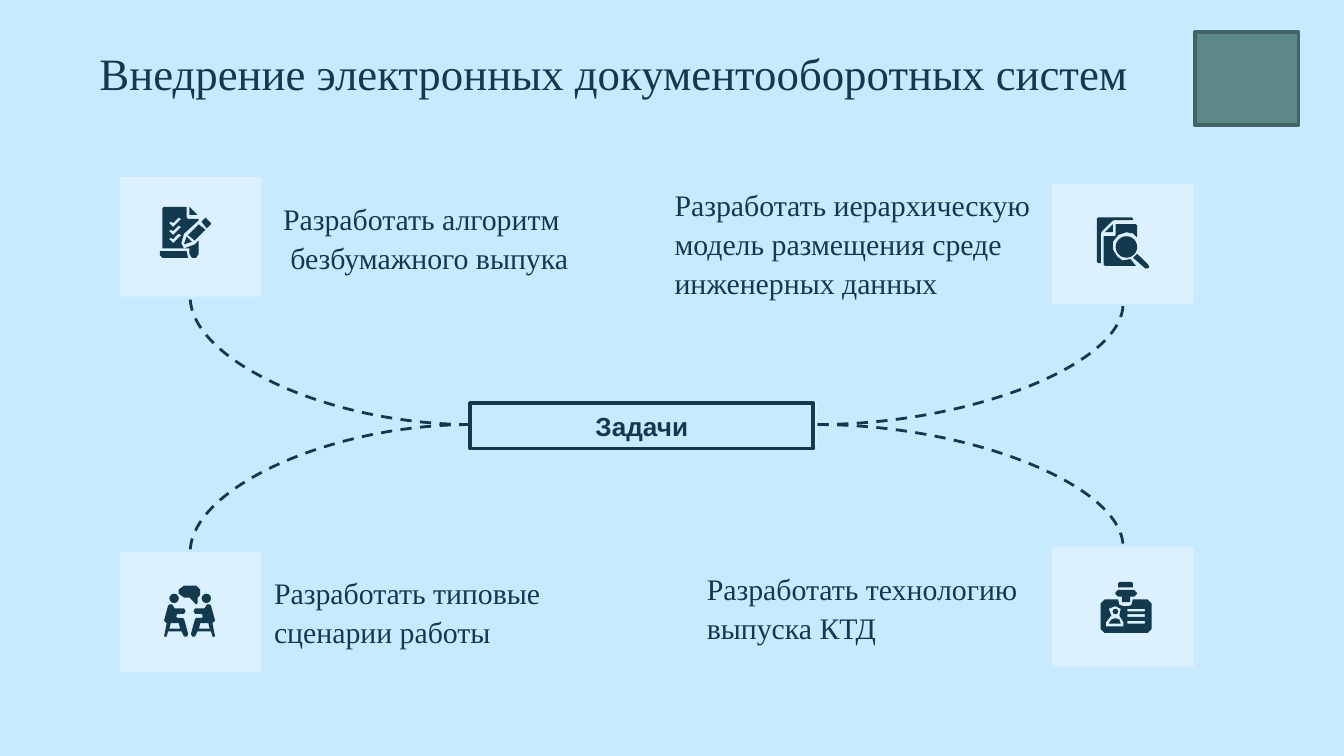
from lxml.etree import SubElement
from pptx import Presentation
from pptx.dml.color import RGBColor
from pptx.enum.dml import MSO_LINE
from pptx.enum.shapes import MSO_CONNECTOR, MSO_SHAPE
from pptx.enum.text import MSO_ANCHOR, PP_ALIGN
from pptx.oxml.ns import qn
from pptx.util import Cm, Pt

SKY = RGBColor(0xC8, 0xEA, 0xFF)
NAVY = RGBColor(0x13, 0x39, 0x4F)
WHITE = RGBColor(0xFF, 0xFF, 0xFF)
TEAL = RGBColor(0x5C, 0x89, 0x88)
DARK_TEAL = RGBColor(0x44, 0x65, 0x65)
SERIF = "Times New Roman"

ICON_UNIT = Cm(0.0254)
CARD_W, CARD_H = 2.67, 2.26
LEFT_X, RIGHT_X = 2.26, 19.89
TOP, BOTTOM, LEFT, RIGHT = 0, 2, 1, 3


def box(x, y, w, h):
    return [(x, y), (x + w, y), (x + w, y + h), (x, y + h)]


def mirror(contours):
    return [[(38 - x, y) for x, y in points] for points in contours]


CHECKS = [[(8, 11 + d), (10, 12 + d), (14, 8 + d), (16, 9 + d), (10, 15 + d), (7, 12 + d)]
          for d in (0, 6, 12)]
CHECKLIST = {
    "polygons": [
        [[(3, 0), (20, 0), (20, 8), (21, 9), (29, 9), (29, 10), (18, 20), (16, 27),
          (18, 31), (26, 28), (29, 25), (29, 35), (27, 38), (24, 38), (22, 35),
          (22, 31), (2, 31), (2, 1)], *CHECKS],
        [[(34, 8), (38, 12), (38, 13), (35, 16), (31, 11)]],
        [[(29, 13), (34, 17), (26, 25), (21, 21)]],
        [[(20, 22), (24, 26), (18, 28)]],
        [[(22, 0), (28, 6), (22, 6)]],
        [[(0, 33), (20, 33), (21, 38), (2, 38), (0, 36)]],
    ],
    "ovals": [],
}
SEARCH = {
    "polygons": [
        [[(1, 0), (26, 0), (27, 1), (27, 2), (13, 2), (11, 3), (4, 10), (3, 12),
          (3, 34), (1, 34), (0, 33), (0, 1)]],
        [[(12, 5), (12, 11), (6, 11)]],
        [[(14, 5), (29, 5), (30, 6), (30, 15), (27, 12), (22, 11), (16, 13), (12, 18),
          (12, 24), (15, 29), (19, 32), (25, 31), (29, 36), (6, 36), (5, 35), (5, 14),
          (13, 14), (14, 13)]],
        [[(30, 27), (38, 35), (39, 37), (38, 38), (36, 38), (27, 30)]],
    ],
    "ovals": [(14, 14, 16, 16)],
}
PERSON = [
    [(4, 14), (6, 14), (8, 17), (15, 17), (16, 19), (15, 21), (10, 21), (9, 23),
     (10, 24), (14, 24), (15, 25), (18, 36), (17, 38), (15, 38), (13, 34), (3, 34),
     (2, 38), (0, 38), (2, 28), (0, 26), (3, 15)],
    [(5, 28), (11, 28), (12, 32), (4, 32)],
]
MEETING = {
    "polygons": [
        PERSON,
        mirror(PERSON),
        [[(15, 0), (24, 0), (27, 3), (27, 7), (25, 9), (25, 13), (24, 14), (19, 9),
          (15, 9), (11, 6), (11, 3)]],
    ],
    "ovals": [(4, 6, 7, 7), (28, 6, 7, 7)],
}
BADGE = {
    "polygons": [
        [[(3, 13), (13, 13), (14, 17), (17, 18), (21, 18), (23, 17), (24, 13), (35, 13),
          (38, 16), (38, 35), (35, 38), (3, 38), (0, 35), (0, 16)],
         [(11, 18), (15, 20), (14, 25), (17, 30), (17, 33), (4, 33), (4, 30), (8, 25),
          (6, 20)],
         *[box(20, y, 13, 2) for y in (20, 24.5, 29)]],
        [[(6, 31), (8, 28), (11, 27), (14, 28), (15, 31)]],
        [[(13, 6), (25, 6), (27, 8), (27, 9), (25, 11), (22, 11), (22, 15), (16, 15),
          (16, 11), (13, 11), (11, 9), (11, 8)]],
        [[(13, 1), (14, 0), (23, 0), (24, 1), (24, 4), (13, 4)]],
    ],
    "ovals": [(9, 20, 4, 4)],
}


def paint(sp, fill, line=None):
    sp.shadow.inherit = False
    sp.fill.solid()
    sp.fill.fore_color.rgb = fill
    if line is None:
        sp.line.fill.background()
    else:
        sp.line.color.rgb = line
        sp.line.width = Pt(2)


def add_block(slide, x, y, w, h, fill, line=None, alpha=None, kind=MSO_SHAPE.RECTANGLE):
    sp = slide.shapes.add_shape(kind, Cm(x), Cm(y), Cm(w), Cm(h))
    paint(sp, fill, line)
    if alpha is not None:
        color = sp._element.spPr.find(qn("a:solidFill"))[0]
        SubElement(color, qn("a:alpha")).set("val", str(alpha * 1000))
    return sp


def write(p, text, size, font, bold=False):
    r = p.add_run()
    r.text = text
    r.font.size = Pt(size)
    r.font.name = font
    r.font.bold = bold
    r.font.color.rgb = NAVY


def add_text(slide, x, y, w, h, text, size=16, align=PP_ALIGN.LEFT, anchor=MSO_ANCHOR.MIDDLE):
    tf = slide.shapes.add_textbox(Cm(x), Cm(y), Cm(w), Cm(h)).text_frame
    tf.word_wrap = True
    tf.vertical_anchor = anchor
    tf.margin_left = tf.margin_right = tf.margin_top = tf.margin_bottom = Cm(0.25)
    p = tf.paragraphs[0]
    p.alignment = align
    p.line_spacing = 1.09
    write(p, text, size, SERIF)
    return p


def hang(p, indent):
    pPr = p._p.get_or_add_pPr()
    pPr.set("marL", str(indent))
    pPr.set("indent", str(-indent))


def add_icon(slide, icon, x, y):
    x, y = Cm(x), Cm(y)
    shapes = slide.shapes.add_group_shape().shapes
    for contours in icon["polygons"]:
        builder = shapes.build_freeform(*contours[0][0], scale=ICON_UNIT)
        builder.add_line_segments(contours[0][1:])
        for points in contours[1:]:
            builder.move_to(*points[0])
            builder.add_line_segments(points[1:])
        paint(builder.convert_to_shape(x, y), NAVY)
    for left, top, w, h in icon["ovals"]:
        sp = shapes.add_shape(MSO_SHAPE.OVAL, x + left * ICON_UNIT, y + top * ICON_UNIT,
                              w * ICON_UNIT, h * ICON_UNIT)
        paint(sp, NAVY)


def add_curve(slide, hub, hub_side, card, card_side):
    cxn = slide.shapes.add_connector(MSO_CONNECTOR.CURVE, 0, 0, 0, 0)
    cxn.begin_connect(hub, hub_side)
    cxn.end_connect(card, card_side)
    cxn.line.color.rgb = NAVY
    cxn.line.width = Pt(1.5)
    cxn.line.dash_style = MSO_LINE.DASH
    spPr = cxn._element.spPr
    spPr.find(qn("a:prstGeom")).set("prst", "curvedConnector2")
    SubElement(spPr, qn("a:effectLst"))


def add_hub_label(slide):
    sp = add_block(slide, 8.89, 7.62, 6.48, 0.86, SKY, NAVY)
    tf = sp.text_frame
    tf.vertical_anchor = MSO_ANCHOR.MIDDLE
    p = tf.paragraphs[0]
    p.alignment = PP_ALIGN.CENTER
    write(p, "Задачи", 14, "Arial", bold=True)


def main():
    prs = Presentation()
    prs.slide_width, prs.slide_height = Cm(25.4), Cm(14.29)
    slide = prs.slides.add_slide(prs.slide_layouts[6])
    slide.background.fill.solid()
    slide.background.fill.fore_color.rgb = SKY

    add_text(slide, 0.51, 0.53, 22.17, 1.9, "Внедрение электронных документооборотных систем",
             24, PP_ALIGN.CENTER, MSO_ANCHOR.TOP)
    hub = add_block(slide, 8.89, 7.62, 6.56, 0.81, WHITE, alpha=35)

    cards = [
        (LEFT_X, 3.35, LEFT, BOTTOM, CHECKLIST, 3.02, 3.91),
        (RIGHT_X, 3.48, RIGHT, BOTTOM, SEARCH, 20.73, 4.11),
        (LEFT_X, 10.44, LEFT, TOP, MEETING, 3.1, 11.07),
        (RIGHT_X, 10.34, RIGHT, TOP, BADGE, 20.8, 11),
    ]
    for x, y, hub_side, card_side, icon, icon_x, icon_y in cards:
        card = add_block(slide, x, y, CARD_W, CARD_H, WHITE, alpha=35)
        add_curve(slide, hub, hub_side, card, card_side)
        add_icon(slide, icon, icon_x, icon_y)
    add_hub_label(slide)

    p = add_text(slide, 5.1, 3.3, 6.38, 2.36, "Разработать алгоритм безбумажного выпука")
    hang(p, Cm(0.14))
    add_text(slide, 12.5, 3.4, 7.29, 2.36,
             "Разработать иерархическую модель размещения среде инженерных данных")
    add_text(slide, 13.11, 10.29, 6.83, 2.36, "Разработать технологию выпуска КТД")
    add_text(slide, 4.93, 10.36, 6.38, 2.36, "Разработать типовые сценарии работы")

    add_block(slide, 22.58, 0.61, 1.96, 1.75, TEAL, DARK_TEAL,
              kind=MSO_SHAPE.ACTION_BUTTON_CUSTOM)
    prs.save("out.pptx")


if __name__ == "__main__":
    main()
